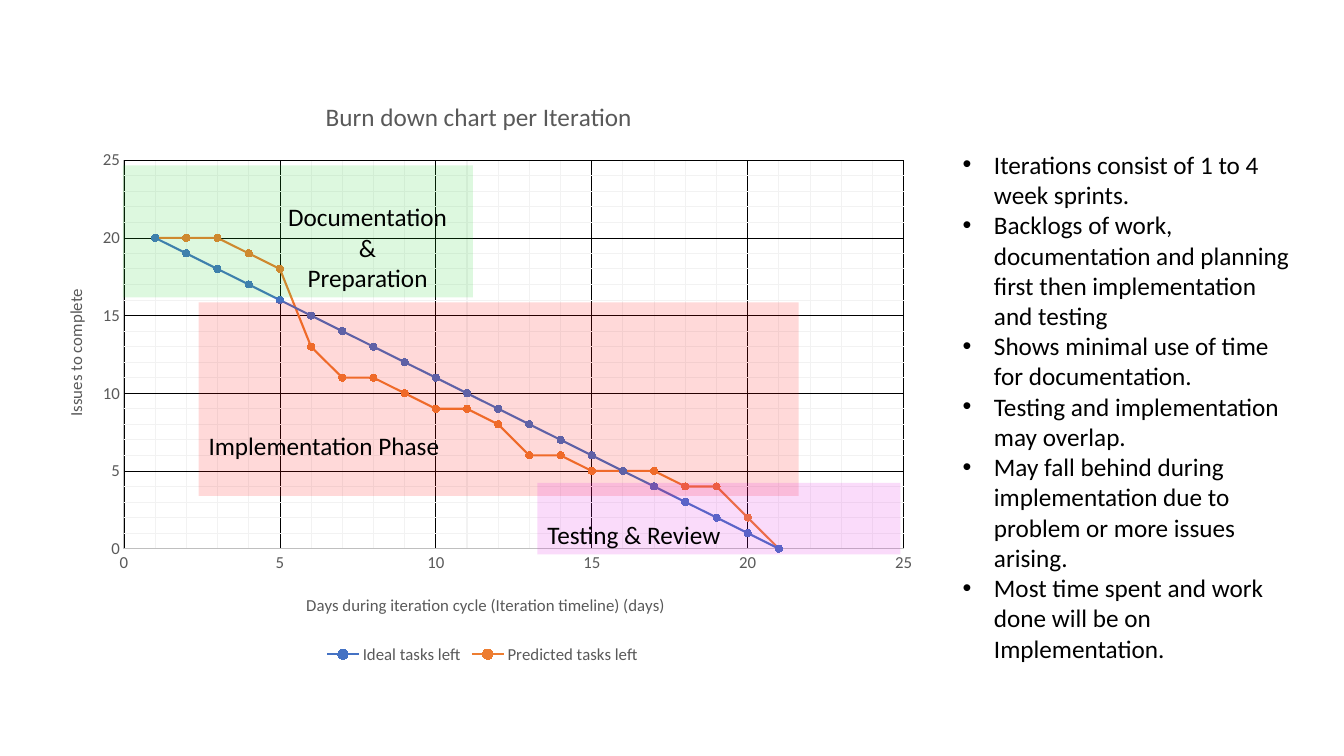
from dataclasses import dataclass

from lxml import etree
from pptx import Presentation
from pptx.chart.data import XyChartData
from pptx.dml.color import RGBColor
from pptx.enum.chart import XL_CHART_TYPE, XL_LEGEND_POSITION, XL_MARKER_STYLE, XL_TICK_MARK
from pptx.enum.shapes import MSO_SHAPE
from pptx.enum.text import MSO_ANCHOR, PP_ALIGN
from pptx.oxml.ns import qn
from pptx.util import Inches, Pt

SCATTER = XL_CHART_TYPE.XY_SCATTER_LINES
BOTTOM_LEGEND = XL_LEGEND_POSITION.BOTTOM
CIRCLE = XL_MARKER_STYLE.CIRCLE
NO_TICK = XL_TICK_MARK.NONE
RECTANGLE = MSO_SHAPE.RECTANGLE
ANCHOR_BOTTOM = MSO_ANCHOR.BOTTOM
LEFT, CENTER = PP_ALIGN.LEFT, PP_ALIGN.CENTER


@dataclass(frozen=True)
class Theme:
    font: str = "Calibri"
    text: str = "000000"
    muted: str = "595959"
    axis: str = "BFBFBF"
    major_grid: str = "000000"
    minor_grid: str = "F2F2F2"
    ideal: str = "4472C4"
    predicted: str = "ED7D31"
    documentation: str = "20D429"
    implementation: str = "FF0101"
    testing: str = "E113E1"
    phase_opacity: int = 15
    body_size: int = 18
    chart_size: int = 12


THEME = Theme()

# Issues left on each day, from day 1
IDEAL = list(range(20, -1, -1))
PREDICTED = [20, 20, 20, 19, 18, 13, 11, 11, 10, 9, 9, 8, 6, 6, 5, 5, 5, 4, 4, 2, 0]
SERIES = [
    ("Ideal tasks left", IDEAL, THEME.ideal),
    ("Predicted tasks left", PREDICTED, THEME.predicted),
]

# Box, colour, lines, alignment, left inset, bottom inset
PHASES = [
    ((1.22, 1.64, 3.47, 1.31), THEME.documentation,
     ["Documentation", "&", "Preparation"], CENTER, 1.48, 0.05),
    ((1.97, 3, 5.95, 1.92), THEME.implementation,
     ["Implementation Phase"], LEFT, 0.1, 0.35),
    ((5.33, 4.79, 3.6, 0.71), THEME.testing,
     ["Testing & Review"], LEFT, 0.1, 0.05),
]

NOTES = [
    "Iterations consist of 1 to 4 week sprints.",
    "Backlogs of work, documentation and planning first then implementation and testing",
    "Shows minimal use of time for documentation.",
    "Testing and implementation may overlap.",
    "May fall behind during implementation due to problem or more issues arising.",
    "Most time spent and work done will be on Implementation.",
]


def style_font(font, size, color):
    font.name = THEME.font
    font.size = Pt(size)
    font.bold = False
    font.color.rgb = RGBColor.from_string(color)


def style_line(line, color, width):
    line.color.rgb = RGBColor.from_string(color)
    line.width = Pt(width)


def add_run(paragraph, text, size=THEME.body_size, color=THEME.text):
    run = paragraph.add_run()
    run.text = text
    style_font(run.font, size, color)


def add_paragraphs(text_frame, lines):
    for index, line in enumerate(lines):
        paragraph = text_frame.add_paragraph() if index else text_frame.paragraphs[0]
        add_run(paragraph, line)
        yield paragraph


def set_layout(element, index, **fractions):
    """Fix the position of a chart part as fractions of the chart."""
    for automatic in element.findall(qn("c:layout")):
        element.remove(automatic)
    layout = etree.Element(qn("c:layout"))
    manual = etree.SubElement(layout, qn("c:manualLayout"))
    settings = {"xMode": "edge", "yMode": "edge", **fractions}
    if "w" in fractions:
        etree.SubElement(manual, qn("c:layoutTarget")).set("val", "inner")
    for name, value in settings.items():
        etree.SubElement(manual, qn(f"c:{name}")).set("val", str(value))
    element.insert(index, layout)


def add_title(title, text, size, x, y):
    add_run(title.text_frame.paragraphs[0], text, size, THEME.muted)
    set_layout(title._element, 1, x=x, y=y)


def style_minor_gridlines(axis, color, width):
    element = axis._element.find(qn("c:minorGridlines"))
    for tag in ("c:spPr", "a:ln", "a:solidFill", "a:srgbClr"):
        element = etree.SubElement(element, qn(tag))
        if tag == "a:ln":
            element.set("w", str(Pt(width)))
    element.set("val", color)


def style_axis(axis, title, x, y):
    axis.minimum_scale, axis.maximum_scale = 0, 25
    axis.major_unit, axis.minor_unit = 5, 1
    axis.major_tick_mark = axis.minor_tick_mark = NO_TICK
    axis.has_major_gridlines = axis.has_minor_gridlines = True
    style_line(axis.major_gridlines.format.line, THEME.major_grid, 0.5)
    style_minor_gridlines(axis, THEME.minor_grid, 0.75)
    style_line(axis.format.line, THEME.axis, 0.75)
    style_font(axis.tick_labels.font, THEME.chart_size, THEME.muted)
    add_title(axis.axis_title, title, THEME.chart_size, x, y)


def add_burn_down_chart(slide, box):
    data = XyChartData()
    for name, values, _ in SERIES:
        series = data.add_series(name)
        for day, issues in reversed(list(enumerate(values, 1))):
            series.add_data_point(day, issues)
    chart = slide.shapes.add_chart(SCATTER, *map(Inches, box), data).chart
    style_font(chart.font, THEME.chart_size, THEME.muted)

    # Titles, axes and plot area
    chart.has_title = True
    add_title(chart.chart_title, "Burn down chart per Iteration", THEME.body_size, 0.32, 0.04)
    style_axis(chart.category_axis,
               "Days during iteration cycle (Iteration timeline) (days)", 0.3, 0.87)
    style_axis(chart.value_axis, "Issues to complete", 0.03, 0.36)
    plot_area = chart._element.find(".//" + qn("c:plotArea"))
    set_layout(plot_area, 0, x=0.1, y=0.15, w=0.87, h=0.65)

    # Legend
    chart.has_legend = True
    chart.legend.position = BOTTOM_LEGEND
    chart.legend.include_in_layout = False
    style_font(chart.legend.font, THEME.chart_size, THEME.muted)

    # Series lines and markers
    plot = chart.plots[0]
    plot.vary_by_categories = False
    for series, (_, _, color) in zip(plot.series, SERIES):
        series.smooth = False
        style_line(series.format.line, color, 1.5)
        series.marker.style = CIRCLE
        series.marker.size = 5
        series.marker.format.fill.solid()
        series.marker.format.fill.fore_color.rgb = RGBColor.from_string(color)
        style_line(series.marker.format.line, color, 0.75)


def add_phase(slide, box, color, lines, alignment, left_inset, bottom_inset):
    shape = slide.shapes.add_shape(RECTANGLE, *map(Inches, box))
    shape.shadow.inherit = False
    shape.line.fill.background()
    shape.fill.solid()
    shape.fill.fore_color.rgb = RGBColor.from_string(color)
    color_element = shape._element.spPr.find(".//" + qn("a:srgbClr"))
    alpha = etree.SubElement(color_element, qn("a:alpha"))
    alpha.set("val", str(THEME.phase_opacity * 1000))
    text_frame = shape.text_frame
    text_frame.word_wrap = True
    text_frame.vertical_anchor = ANCHOR_BOTTOM
    text_frame.margin_left = Inches(left_inset)
    text_frame.margin_bottom = Inches(bottom_inset)
    for paragraph in add_paragraphs(text_frame, lines):
        paragraph.alignment = alignment


def add_notes_list(slide, box):
    text_frame = slide.shapes.add_textbox(*map(Inches, box)).text_frame
    text_frame.word_wrap = True
    for paragraph in add_paragraphs(text_frame, NOTES):
        properties = paragraph._p.get_or_add_pPr()
        properties.set("marL", str(Inches(0.31)))
        properties.set("indent", str(Inches(-0.31)))
        etree.SubElement(properties, qn("a:buFont")).set("typeface", "Arial")
        etree.SubElement(properties, qn("a:buChar")).set("char", "•")


if __name__ == "__main__":
    presentation = Presentation()
    presentation.slide_width, presentation.slide_height = Inches(13.33), Inches(7.5)
    slide = presentation.slides.add_slide(presentation.slide_layouts[6])
    add_burn_down_chart(slide, (0.34, 0.7, 8.89, 5.93))
    for phase in PHASES:
        add_phase(slide, *phase)
    add_notes_list(slide, (9.45, 1.43, 3.52, 5.25))
    presentation.save("out.pptx")
